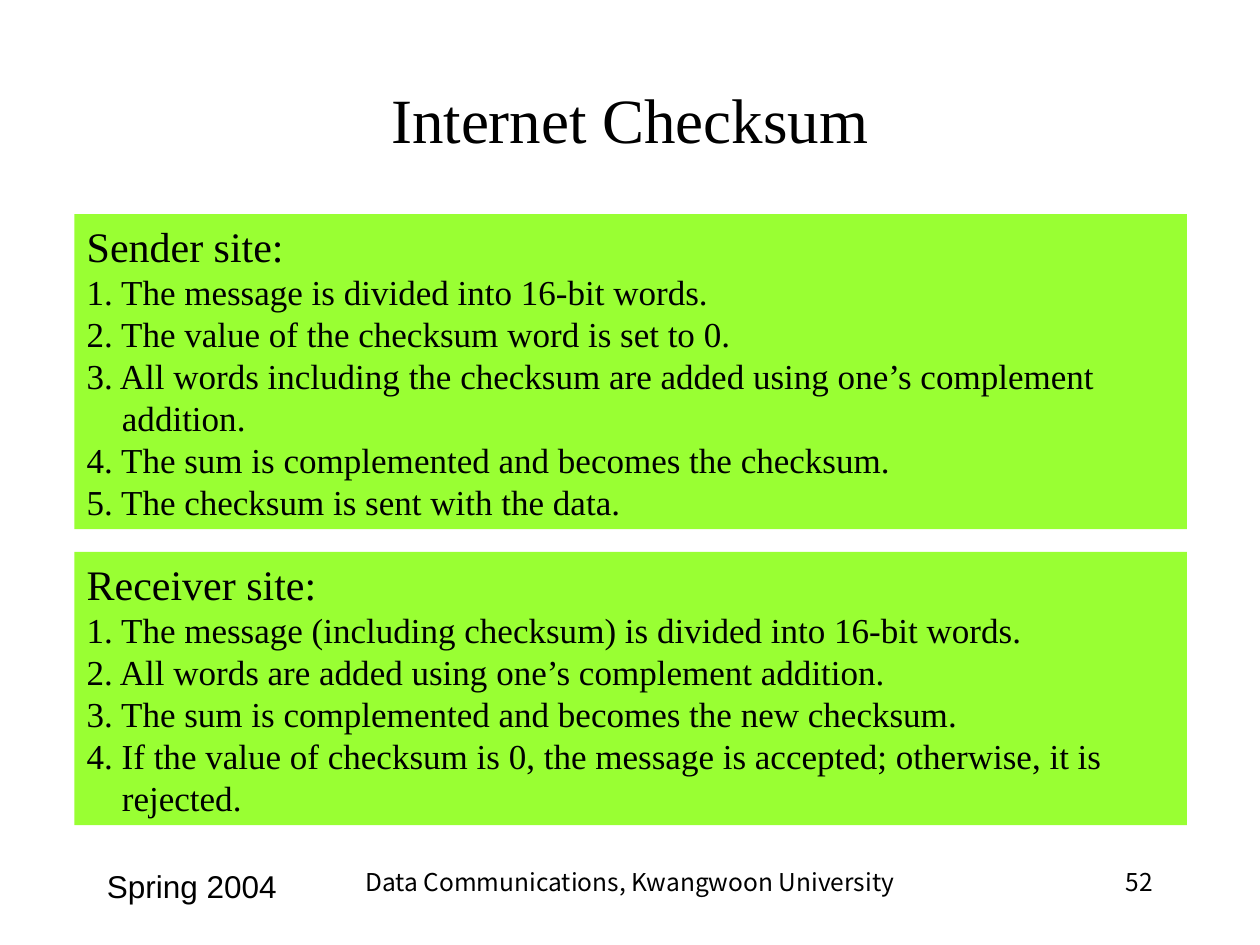
from dataclasses import dataclass

from pptx import Presentation
from pptx.dml.color import RGBColor
from pptx.enum.shapes import MSO_SHAPE
from pptx.enum.text import MSO_ANCHOR, PP_ALIGN
from pptx.util import Inches, Pt


@dataclass(frozen=True)
class Theme:
    ink: RGBColor = RGBColor(0x00, 0x00, 0x00)
    panel: RGBColor = RGBColor(0x99, 0xFF, 0x33)
    serif: str = "Times New Roman"
    sans: str = "Arial"
    korean: str = "Noto Sans CJK KR"
    title_size: int = 36
    heading_size: int = 24
    step_size: int = 20
    term_size: int = 18
    footer_size: int = 14
    step_indent: float = 0.28


THEME = Theme()
SLIDE_WIDTH, SLIDE_HEIGHT = 10, 7.5
MARGIN = 0.75
PANEL_LEFT, PANEL_WIDTH = 0.59, 8.83

SENDER_STEPS = [
    "The message is divided into 16-bit words.",
    "The value of the checksum word is set to 0.",
    "All words including the checksum are added using one’s complement addition.",
    "The sum is complemented and becomes the checksum.",
    "The checksum is sent with the data.",
]
RECEIVER_STEPS = [
    "The message (including checksum) is divided into 16-bit words.",
    "All words are added using one’s complement addition.",
    "The sum is complemented and becomes the new checksum.",
    "If the value of checksum is 0, the message is accepted; otherwise, it is rejected.",
]


def write(paragraph, text, *, size, font=THEME.serif, align=PP_ALIGN.LEFT, hanging=0):
    """Fill a paragraph; hanging is the indent in inches of its wrapped lines."""
    paragraph.alignment = align
    if hanging:
        properties = paragraph._p.get_or_add_pPr()
        properties.set("marL", str(Inches(hanging)))
        properties.set("indent", str(-Inches(hanging)))
    run = paragraph.add_run()
    run.text = text
    run.font.size = Pt(size)
    run.font.name = font
    run.font.color.rgb = THEME.ink


def add_label(slide, box, text, *, anchor=MSO_ANCHOR.TOP, **text_format):
    frame = slide.shapes.add_textbox(*map(Inches, box)).text_frame
    frame.word_wrap = True
    frame.vertical_anchor = anchor
    write(frame.paragraphs[0], text, **text_format)


def add_procedure(slide, box, heading, steps):
    panel = slide.shapes.add_shape(MSO_SHAPE.RECTANGLE, *map(Inches, box))
    panel.shadow.inherit = False
    panel.fill.solid()
    panel.fill.fore_color.rgb = THEME.panel
    panel.line.fill.background()
    frame = panel.text_frame
    frame.word_wrap = True
    frame.vertical_anchor = MSO_ANCHOR.TOP
    write(frame.paragraphs[0], heading, size=THEME.heading_size)
    for number, step in enumerate(steps, 1):
        write(frame.add_paragraph(), f"{number}. {step}",
              size=THEME.step_size, hanging=THEME.step_indent)


def add_footer(slide, box):
    left, top, width, height = box
    side, middle = 1.92, 4.5
    add_label(slide, (left, top, side, height), "Spring 2004",
              size=THEME.term_size, font=THEME.sans)
    add_label(slide, (left + (width - middle) / 2, top, middle, height),
              "Data Communications, Kwangwoon University",
              size=THEME.footer_size, font=THEME.korean, align=PP_ALIGN.CENTER)
    add_label(slide, (left + width - side, top, side, height), "52",
              size=THEME.footer_size, font=THEME.korean, align=PP_ALIGN.RIGHT)


def main():
    presentation = Presentation()
    presentation.slide_width = Inches(SLIDE_WIDTH)
    presentation.slide_height = Inches(SLIDE_HEIGHT)
    slide = presentation.slides.add_slide(presentation.slide_layouts[6])

    content_width = SLIDE_WIDTH - 2 * MARGIN
    add_label(slide, (MARGIN, 0.44, content_width, 1), "Internet Checksum",
              size=THEME.title_size, align=PP_ALIGN.CENTER, anchor=MSO_ANCHOR.MIDDLE)
    add_procedure(slide, (PANEL_LEFT, 1.7, PANEL_WIDTH, 2.5), "Sender site:", SENDER_STEPS)
    add_procedure(slide, (PANEL_LEFT, 4.38, PANEL_WIDTH, 2.17), "Receiver site:", RECEIVER_STEPS)
    add_footer(slide, (MARGIN, 6.83, content_width, 0.5))
    presentation.save("out.pptx")


if __name__ == "__main__":
    main()
